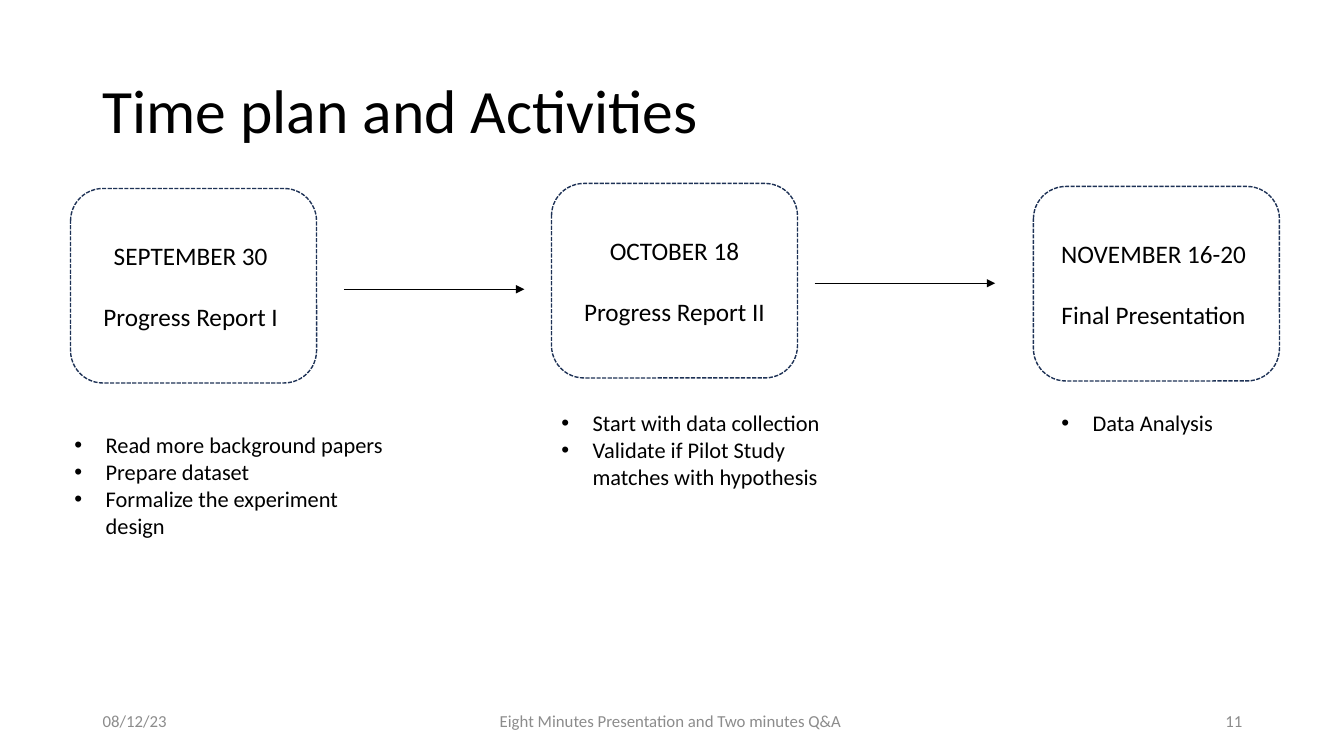
from lxml.etree import SubElement
from pptx import Presentation
from pptx.dml.color import RGBColor
from pptx.enum.dml import MSO_LINE
from pptx.enum.shapes import MSO_CONNECTOR, MSO_SHAPE
from pptx.enum.text import MSO_ANCHOR as Anchor, PP_ALIGN as Align
from pptx.oxml.ns import qn
from pptx.util import Inches, Pt

BLACK = RGBColor(0x00, 0x00, 0x00)
NAVY = RGBColor(0x1E, 0x32, 0x56)
GRAY = RGBColor(0x8C, 0x8C, 0x8C)
FONT = "Calibri"

TITLE = "Time plan and Activities "
# (left, top, date, milestone)
MILESTONES = [
    (0.7, 1.87, "SEPTEMBER 30 ", "Progress Report I "),
    (5.47, 1.82, "OCTOBER 18", "Progress Report II"),
    (10.25, 1.85, "NOVEMBER 16-20 ", "Final Presentation "),
]
CARD_WIDTH, CARD_HEIGHT = 2.44, 1.93
# (left, top, width, height, activities)
ACTIVITIES = [
    (0.64, 4.23, 3.28, 1.18, ["Read more background papers", "Prepare dataset",
                              "Formalize the experiment design"]),
    (5.47, 4.01, 2.82, 0.91, ["Start with data collection",
                              "Validate if Pilot Study matches with hypothesis"]),
    (10.43, 4.01, 2.26, 0.37, ["Data Analysis"]),
]
ARROWS = [(3.41, 2.87), (8.08, 2.81)]
ARROW_LENGTH = 1.79
# (left, width, alignment, text)
FOOTERS = [
    (0.92, 3, Align.LEFT, "08/12/23"),
    (4.42, 4.5, Align.CENTER, "Eight Minutes Presentation and Two minutes Q&A "),
    (9.42, 3, Align.RIGHT, "11"),
]
FOOTER_TOP, FOOTER_HEIGHT = 6.95, 0.4
INDENT = Inches(0.31)


def write(shape, lines, size, color=BLACK, align=Align.LEFT, anchor=Anchor.MIDDLE):
    """Fill a shape with one paragraph per line and return the paragraphs."""
    frame = shape.text_frame
    frame.word_wrap = True
    frame.vertical_anchor = anchor
    frame.text = "\n".join(lines)
    for para in frame.paragraphs:
        para.alignment = align
        para.font.name = FONT
        para.font.size = Pt(size)
        para.font.color.rgb = color
    return frame.paragraphs


def add_text(slide, bounds, lines, size, **style):
    """Add a text box at bounds given in inches and return its paragraphs."""
    box = slide.shapes.add_textbox(*map(Inches, bounds))
    return write(box, lines, size, **style)


def add_card(slide, left, top, date, milestone):
    """Add a dashed rounded card with a date above its milestone."""
    bounds = map(Inches, (left, top, CARD_WIDTH, CARD_HEIGHT))
    card = slide.shapes.add_shape(MSO_SHAPE.ROUNDED_RECTANGLE, *bounds)
    card.shadow.inherit = False
    card.fill.background()
    card.line.color.rgb = NAVY
    card.line.width = Pt(1)
    card.line.dash_style = MSO_LINE.SQUARE_DOT
    paras = write(card, [date, milestone], 18, align=Align.CENTER)
    paras[1].space_before = Pt(22)


def add_bullets(slide, bounds, activities):
    """Add a bulleted list of activities with a hanging indent."""
    for para in add_text(slide, bounds, activities, 16, anchor=Anchor.TOP):
        properties = para._p.get_or_add_pPr()
        properties.set("marL", str(INDENT))
        properties.set("indent", str(-INDENT))
        SubElement(properties, qn("a:buFont")).set("typeface", "Arial")
        SubElement(properties, qn("a:buChar")).set("char", "•")
        # Bullet elements must precede the default run properties.
        properties.append(properties.find(qn("a:defRPr")))


def add_arrow(slide, left, top):
    """Add a thin horizontal arrow pointing right."""
    ends = map(Inches, (left, top, left + ARROW_LENGTH, top))
    arrow = slide.shapes.add_connector(MSO_CONNECTOR.STRAIGHT, *ends)
    arrow.line.color.rgb = BLACK
    arrow.line.width = Pt(0.5)
    SubElement(arrow.line._get_or_add_ln(), qn("a:tailEnd")).set("type", "triangle")
    SubElement(arrow._element.spPr, qn("a:effectLst"))


deck = Presentation()
deck.slide_width, deck.slide_height = Inches(13.33), Inches(7.5)
page = deck.slides.add_slide(deck.slide_layouts[6])

title = add_text(page, (0.92, 0.4, 11.5, 1.45), [TITLE], 44)
title[0].line_spacing = 0.9
for card_details in MILESTONES:
    add_card(page, *card_details)
for start in ARROWS:
    add_arrow(page, *start)
for left, width, align, text in FOOTERS:
    add_text(page, (left, FOOTER_TOP, width, FOOTER_HEIGHT), [text], 12,
             color=GRAY, align=align)
for *bounds, activities in ACTIVITIES:
    add_bullets(page, bounds, activities)

deck.save("out.pptx")
